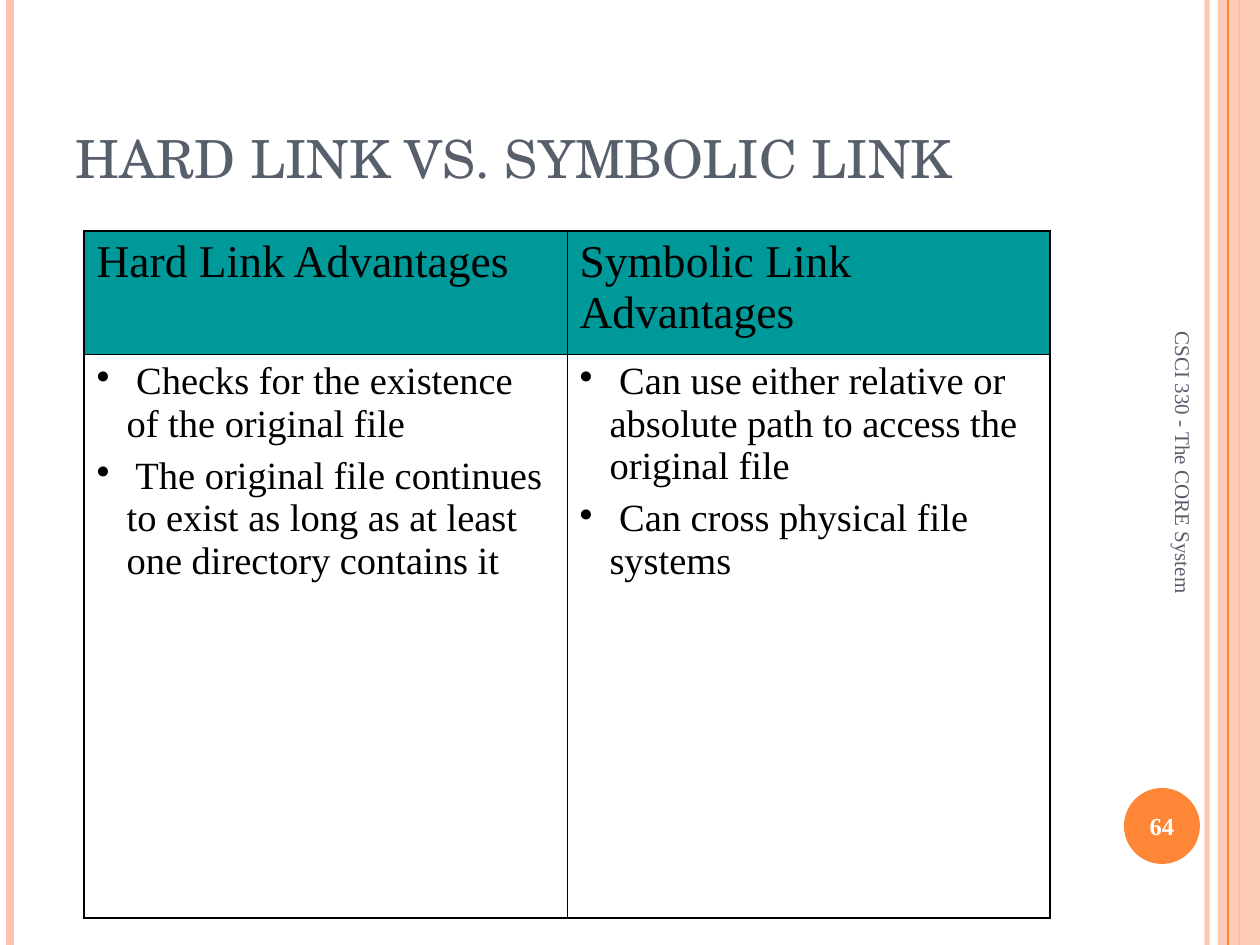
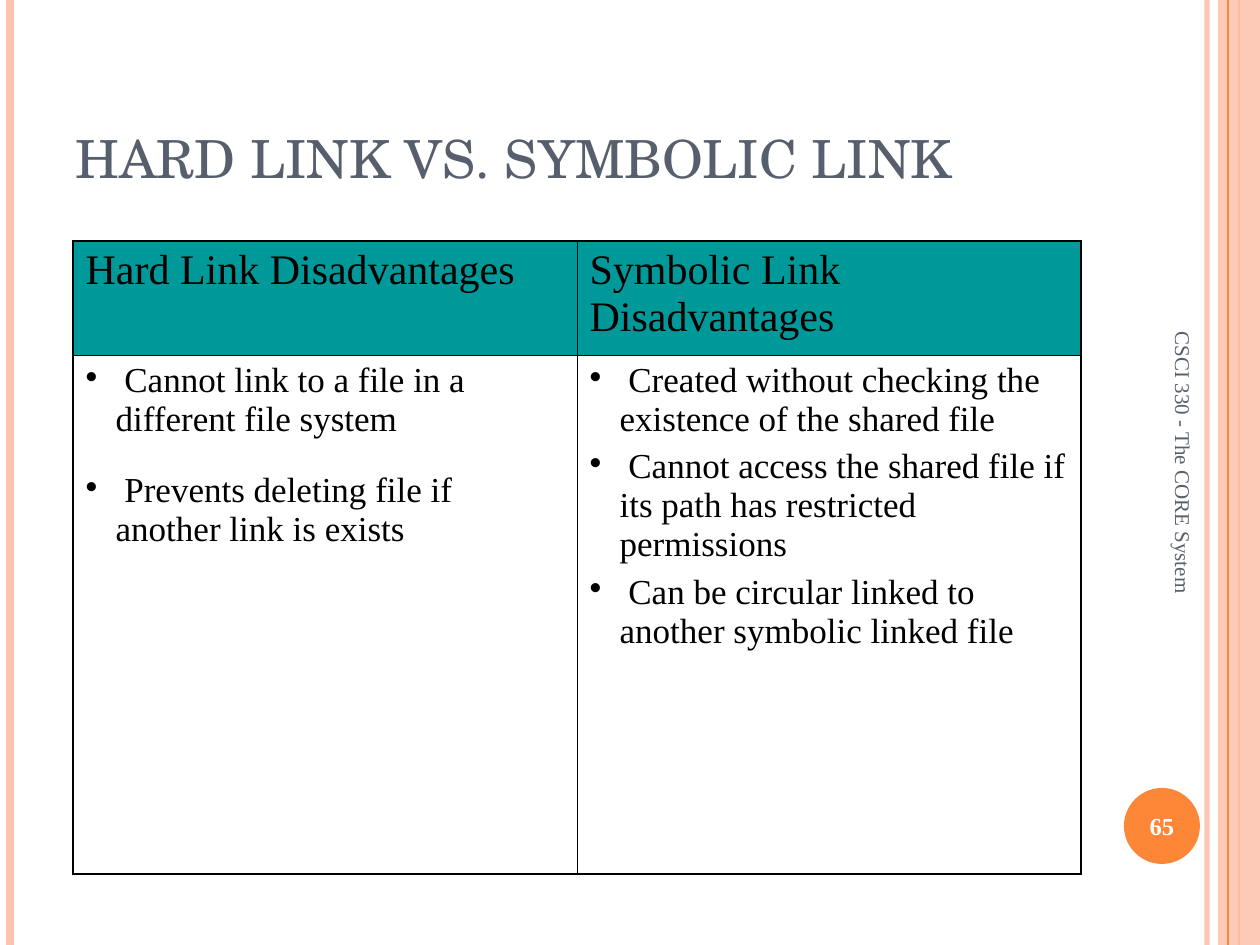
from pptx import Presentation
from pptx import util as u
from pptx.dml.color import RGBColor
from pptx.enum import shapes, text
from pptx.oxml.ns import qn
from lxml import etree

PX = 914400 / 126
SLIDE_W, SLIDE_H = 1260, 945
PEACH, ORANGE, SLATE = "FEC3AE", "FE8637", "575F6D"
TEAL, BLACK, WHITE = "009999", "000000", "FFFFFF"
SERIF, TITLE_FONT = "Times New Roman", "TeX Gyre Schola"
OUTER, INNER = 1.08, 0.45
HANGING = 30


def px(length):
    return u.Emu(round(length * PX))


def box(*lengths):
    return [px(length) for length in lengths]


def color(hex_code):
    return RGBColor.from_string(hex_code)


def child(parent, tag, **attributes):
    return etree.SubElement(parent, qn(tag), attributes)


def set_opacity(shape, percent):
    tint = shape.element.spPr.xpath(".//a:srgbClr")[0]
    child(tint, "a:alpha", val=str(percent * 1000))


def rail(slide, x, hex_code, width, opacity=100):
    """Draw a vertical line over the whole slide height."""
    line = slide.shapes.add_connector(
        shapes.MSO_CONNECTOR.STRAIGHT, *box(x, 0, x, SLIDE_H))
    line.line.color.rgb = color(hex_code)
    line.line.width = u.Pt(width)
    if opacity < 100:
        set_opacity(line, opacity)
    child(line.element.spPr, "a:effectLst")


def plain_shape(slide, preset, place, hex_code):
    shape = slide.shapes.add_shape(preset, *box(*place))
    shape.shadow.inherit = False
    shape.fill.solid()
    shape.fill.fore_color.rgb = color(hex_code)
    shape.line.fill.background()
    return shape


def add_bullet(paragraph):
    properties = paragraph._p.get_or_add_pPr()
    properties.set("marL", str(px(HANGING)))
    properties.set("indent", str(-px(HANGING)))
    child(child(properties, "a:buClr"), "a:srgbClr", val=BLACK)
    child(properties, "a:buChar", char="•")


def write(frame, lines, size, hex_code=BLACK, font=SERIF, bold=False,
          align=text.PP_ALIGN.LEFT, bullets=False, gap=0):
    """Fill a text frame with one paragraph per line, gap points apart."""
    frame.word_wrap = True
    for index, line in enumerate(lines):
        paragraph = frame.add_paragraph() if index else frame.paragraphs[0]
        if bullets:
            add_bullet(paragraph)
        paragraph.alignment = align
        paragraph.space_before = u.Pt(gap if index else 0)
        run = paragraph.add_run()
        run.text = line
        run.font.size = u.Pt(size)
        run.font.name = font
        run.font.bold = bold
        run.font.color.rgb = color(hex_code)


def label(slide, place, wording, anchor=text.MSO_ANCHOR.MIDDLE, rotation=0,
          **style):
    area = slide.shapes.add_textbox(*box(*place))
    area.rotation = rotation
    area.text_frame.vertical_anchor = anchor
    write(area.text_frame, [wording], **style)


def set_borders(cell, **widths):
    properties = cell._tc.get_or_add_tcPr()
    for index, side in enumerate("LRTB"):
        line = etree.Element(qn(f"a:ln{side}"), w=str(u.Pt(widths[side])))
        child(child(line, "a:solidFill"), "a:srgbClr", val=BLACK)
        properties.insert(index, line)


def comparison(slide, left, top, column_width, row_heights, columns,
               head_size, body_size, gaps):
    """Table with one (heading, bullet points) pair per column."""
    table = slide.shapes.add_table(
        2, len(columns), *box(left, top, column_width * len(columns),
                              sum(row_heights))).table
    table.first_row = table.horz_banding = False
    for row, height in zip(table.rows, row_heights):
        row.height = px(height)
    last = len(columns) - 1
    for index, (heading, points) in enumerate(columns):
        table.columns[index].width = px(column_width)
        head, body = table.cell(0, index), table.cell(1, index)
        head.fill.solid()
        head.fill.fore_color.rgb = color(TEAL)
        body.fill.background()
        write(head.text_frame, [heading], head_size)
        write(body.text_frame, [f" {point}" for point in points], body_size,
              bullets=True, gap=gaps[index])
        sides = {"L": INNER if index else OUTER,
                 "R": OUTER if index == last else INNER}
        set_borders(head, T=OUTER, B=INNER, **sides)
        set_borders(body, T=INNER, B=OUTER, **sides)


def themed_slide(deck, number):
    slide = deck.slides.add_slide(deck.slide_layouts[6])
    rail(slide, 1207, PEACH, 3, opacity=93)
    rail(slide, 10, PEACH, 4.5)
    rail(slide, 1239, ORANGE, 1.5)
    band = plain_shape(slide, shapes.MSO_SHAPE.RECTANGLE,
                       (1218, 0, 42, SLIDE_H), PEACH)
    set_opacity(band, 87)
    rail(slide, 1228, ORANGE, 0.75)
    plain_shape(slide, shapes.MSO_SHAPE.OVAL, (1124, 788, 76, 76), ORANGE)
    label(slide, (63, 38, 1029, 157), "HARD LINK VS. SYMBOLIC LINK",
          anchor=text.MSO_ANCHOR.BOTTOM, size=30, hex_code=SLATE,
          font=TITLE_FONT)
    label(slide, (1120, 790, 84, 72), str(number), size=14, hex_code=WHITE,
          bold=True, align=text.PP_ALIGN.CENTER)
    label(slide, (963, 515, 441, 50), "CSCI 330 - The CORE System",
          rotation=90, size=12, hex_code=SLATE)
    return slide


def main():
    deck = Presentation()
    deck.slide_width, deck.slide_height = box(SLIDE_W, SLIDE_H)

    advantages = [
        ("Hard Link Advantages", [
            "Checks for the existence of the original file",
            "The original file continues to exist as long as at least one "
            "directory contains it"]),
        ("Symbolic Link Advantages", [
            "Can use either relative or absolute path to access the "
            "original file",
            "Can cross physical file systems"]),
    ]
    comparison(themed_slide(deck, 64), 84, 231, 483, (123, 564), advantages,
               head_size=26, body_size=22, gaps=(5.5, 5.5))

    disadvantages = [
        ("Hard Link Disadvantages", [
            "Cannot link to a file in a different file system",
            "Prevents deleting file if another link is exists"]),
        ("Symbolic Link Disadvantages", [
            "Created without checking the existence of the shared file",
            "Cannot access the shared file if its path has restricted "
            "permissions",
            "Can be circular linked to another symbolic linked file"]),
    ]
    comparison(themed_slide(deck, 65), 73, 241, 504, (114, 519),
               disadvantages, head_size=24, body_size=20, gaps=(18.5, 5))

    deck.save("out.pptx")


if __name__ == "__main__":
    main()
